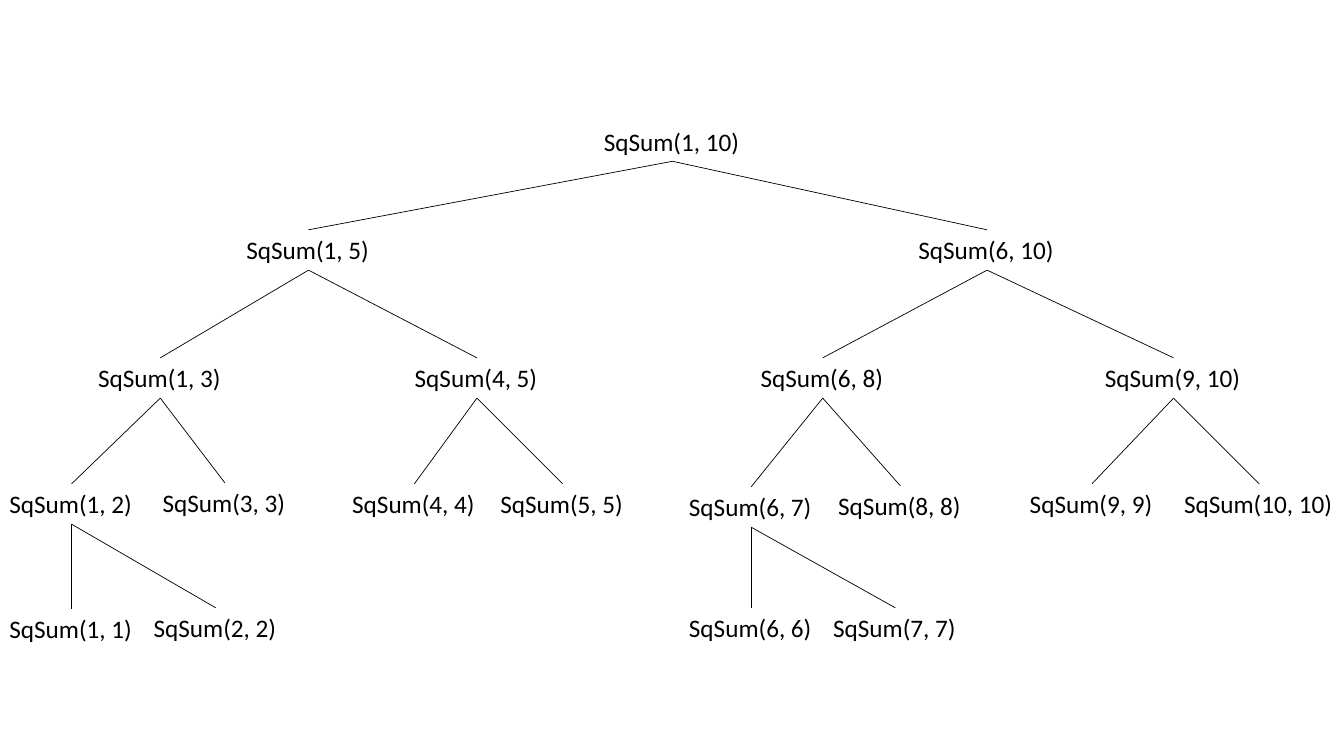
from pptx import Presentation
from pptx.dml.color import RGBColor
from pptx.enum.shapes import MSO_CONNECTOR
from pptx.enum.text import MSO_AUTO_SIZE
from pptx.oxml.ns import qn
from pptx.util import Inches, Pt
from lxml import etree

STRAIGHT = MSO_CONNECTOR.STRAIGHT
GROW = MSO_AUTO_SIZE.SHAPE_TO_FIT_TEXT
BLACK = RGBColor(0x00, 0x00, 0x00)

CALL_HEIGHT = 0.4
CALL_WIDTH = 1.43    # two one-digit arguments
DIGIT_WIDTH = 0.13   # each further digit

# Range of each call: horizontal centre and top, in inches
CALLS = {
    (1, 10): (6.67, 1.2),
    (1, 5): (3.06, 2.28), (6, 10): (9.79, 2.28),
    (1, 3): (1.59, 3.55), (4, 5): (4.73, 3.55),
    (6, 8): (8.16, 3.55), (9, 10): (11.64, 3.55),
    (1, 2): (0.71, 4.8), (3, 3): (2.23, 4.79),
    (4, 4): (4.11, 4.8), (5, 5): (5.58, 4.8),
    (6, 7): (7.45, 4.83), (8, 8): (8.93, 4.82),
    (9, 9): (10.83, 4.8), (10, 10): (12.49, 4.8),
    (1, 1): (0.71, 6.04), (2, 2): (2.14, 6.03),
    (6, 6): (7.45, 6.03), (7, 7): (8.88, 6.03),
}


class RecursionTree:
    font_format = {"name": "Calibri", "size": Pt(18)}
    frame_format = {"word_wrap": False, "auto_size": GROW}
    branch_width = Pt(0.5)

    def __init__(self, slide):
        self.slide = slide

    def call(self, low, high):
        """Write one function call, centred on its place."""
        center, top = CALLS[low, high]
        extra_digits = len(f"{low}{high}") - 2
        width = CALL_WIDTH + DIGIT_WIDTH * extra_digits
        label = self.slide.shapes.add_textbox(
            Inches(center - width / 2), Inches(top),
            Inches(width), Inches(CALL_HEIGHT))
        frame = label.text_frame
        for key, value in self.frame_format.items():
            setattr(frame, key, value)
        run = frame.paragraphs[0].add_run()
        run.text = f"SqSum({low}, {high})"
        for key, value in self.font_format.items():
            setattr(run.font, key, value)
        run.font.color.rgb = BLACK

    def branch(self, parent, child):
        """Join the bottom of a call to the top of one it makes."""
        parent_x, parent_top = CALLS[parent]
        child_x, child_top = CALLS[child]
        line = self.slide.shapes.add_connector(
            STRAIGHT, Inches(parent_x), Inches(parent_top + CALL_HEIGHT),
            Inches(child_x), Inches(child_top))
        line.line.color.rgb = BLACK
        line.line.width = self.branch_width
        etree.SubElement(line._element.spPr, qn("a:effectLst"))

    def grow(self, low, high):
        """Draw a call and, below it, the calls for both halves."""
        self.call(low, high)
        if low == high:
            return
        middle = (low + high) // 2
        for half in ((low, middle), (middle + 1, high)):
            self.branch((low, high), half)
            self.grow(*half)


def main():
    deck = Presentation()
    deck.slide_width, deck.slide_height = Inches(13.33), Inches(7.5)
    blank = deck.slide_layouts[6]
    # Whole tree, from the first call down
    RecursionTree(deck.slides.add_slide(blank)).grow(1, 10)
    deck.save("out.pptx")


if __name__ == "__main__":
    main()
